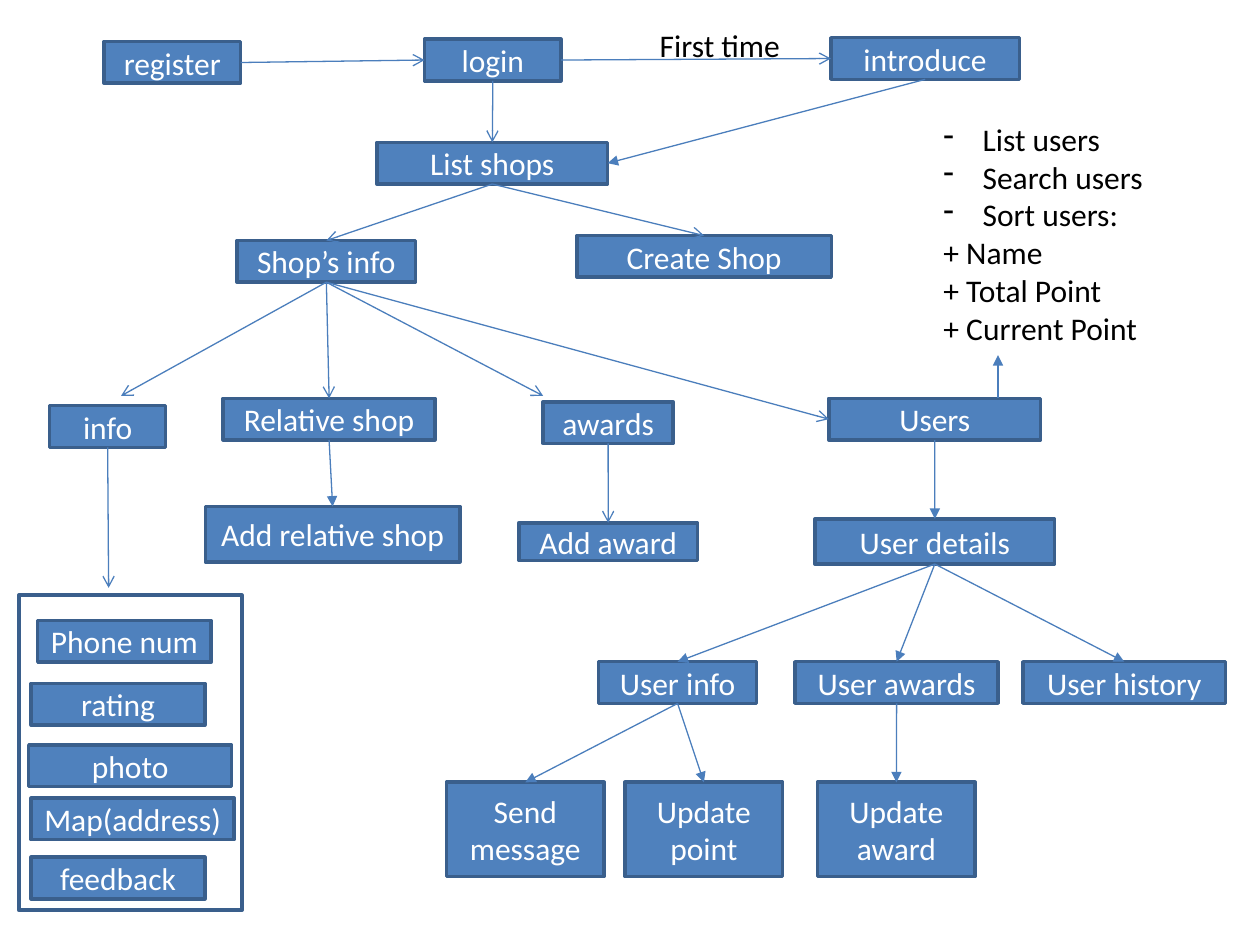
from dataclasses import dataclass

from lxml.etree import SubElement as Sub
from pptx import Presentation
from pptx.dml.color import RGBColor as RGB
from pptx.enum.shapes import MSO_CONNECTOR as Conn, MSO_SHAPE as Kind
from pptx.enum.text import MSO_ANCHOR as Anchor, MSO_AUTO_SIZE as Fit, PP_ALIGN as Align
from pptx.oxml.ns import qn
from pptx.util import Cm, Pt


@dataclass(frozen=True)
class Theme:
    """Colours, type and line sizes of the chart."""
    fill: RGB = RGB(0x4F, 0x81, 0xBD)
    edge: RGB = RGB(0x3A, 0x5F, 0x8C)
    link: RGB = RGB(0x4B, 0x7E, 0xBC)
    white: RGB = RGB(255, 255, 255)
    black: RGB = RGB(0, 0, 0)
    font: str = "Calibri"
    size: float = 18
    rule: float = 2
    thin: float = 0.75


LOOK = Theme()
ROW = 0.84
TOP, LEFT, BASE, RIGHT = range(4)


def write(para, text, color):
    """Add one styled run to a paragraph."""
    run = para.add_run()
    run.text = text
    font = run.font
    font.name, font.size = LOOK.font, Pt(LOOK.size)
    font.color.rgb = color


def frame(slide, x, y, w, h, fill):
    """Draw a bordered rectangle."""
    rect = slide.shapes.add_shape(Kind.RECTANGLE, Cm(x), Cm(y), Cm(w), Cm(h))
    rect.shadow.inherit = False
    rect.fill.solid()
    rect.fill.fore_color.rgb = fill
    rect.line.color.rgb = LOOK.edge
    rect.line.width = Pt(LOOK.rule)
    return rect


def nodes(slide, box, items):
    """Place labelled nodes relative to a box; return them by label."""
    made = {}
    for label, x, y, w, h in items:
        node = frame(slide, box[0] + x, box[1] + y, w, h, LOOK.fill)
        text = node.text_frame
        text.word_wrap = True
        text.vertical_anchor = Anchor.MIDDLE
        para = text.paragraphs[0]
        para.alignment = Align.CENTER
        write(para, label, LOOK.white)
        made[label] = node
    return made


def note(slide, x, y, w, h, lines):
    """Place free text; lines flagged True get a dash bullet."""
    text = slide.shapes.add_textbox(Cm(x), Cm(y), Cm(w), Cm(h)).text_frame
    text.word_wrap = False
    text.auto_size = Fit.SHAPE_TO_FIT_TEXT
    for i, (line, dash) in enumerate(lines):
        para = text.add_paragraph() if i else text.paragraphs[0]
        write(para, line, LOOK.black)
        if dash:
            props = para._p.get_or_add_pPr()
            props.set("marL", str(Cm(0.79)))
            props.set("indent", str(-Cm(0.79)))
            Sub(props, qn("a:buFontTx"))
            Sub(props, qn("a:buChar")).set("char", "-")


def link(slide, start, end, head="triangle"):
    """Draw an arrow between (node, site) pairs or (x, y) points."""
    line = slide.shapes.add_connector(Conn.STRAIGHT, 0, 0, 0, 0)
    if isinstance(start[0], float):
        line.begin_x, line.begin_y = map(Cm, start)
    else:
        line.begin_connect(*start)
    if isinstance(end[0], float):
        line.end_x, line.end_y = map(Cm, end)
    else:
        line.end_connect(*end)
    line.line.color.rgb = LOOK.link
    line.line.width = Pt(LOOK.thin)
    props = line._element.spPr
    Sub(props.find(qn("a:ln")), qn("a:tailEnd")).set("type", head)
    Sub(props, qn("a:effectLst"))


def entry(slide, box):
    """Draw sign-in steps and return the shop list node."""
    made = nodes(slide, box, [
        ("register", 0, 0.44, 2.75, ROW),
        ("login", 6.46, 0.39, 2.75, ROW),
        ("introduce", 14.65, 0.36, 3.8, ROW),
        ("List shops", 5.5, 2.47, 4.65, ROW)])
    reg, login, intro, shops = made.values()
    link(slide, (reg, RIGHT), (login, LEFT), "arrow")
    link(slide, (login, RIGHT), (intro, LEFT), "arrow")
    link(slide, (login, BASE), (shops, TOP), "arrow")
    link(slide, (intro, BASE), (shops, RIGHT))
    note(slide, box[0] + 10.95, box[1], 2.97, 1.02, [("First time", False)])
    return shops


def shop(slide, box, root):
    """Draw the shop branch and return its hub and info nodes."""
    x, y = box
    made = nodes(slide, box, [
        ("Create Shop", 10.63, 0, 5.13, ROW),
        ("Shop’s info", 3.78, 0.1, 3.6, ROW),
        ("info", 0, 3.43, 2.34, ROW),
        ("Relative shop", 3.5, 3.28, 4.27, ROW),
        ("awards", 9.95, 3.35, 2.62, ROW),
        ("Add relative shop", 3.14, 5.46, 5.13, 1.12),
        ("Add award", 9.46, 5.79, 3.6, 0.76)])
    new, hub, info, near, prize, more, add = made.values()
    for end in (hub, new):
        link(slide, (root, BASE), (end, TOP), "arrow")
    for end in ((x + 1.44, y + 3.23), (near, TOP), (x + 9.95, y + 3.23)):
        link(slide, (hub, BASE), end, "arrow")
    link(slide, (near, BASE), (more, TOP))
    link(slide, (prize, BASE), (add, TOP), "arrow")
    return hub, info


def users(slide, box, hub):
    """Draw the user branch with its list of features."""
    x, y = box
    made = nodes(slide, box, [
        ("Users", 7.71, 5.78, 4.27, ROW),
        ("User details", 7.43, 8.21, 4.83, 0.91),
        ("User info", 3.07, 11.09, 3.18, ROW),
        ("User awards", 7.03, 11.09, 4.09, ROW),
        ("User history", 11.62, 11.09, 4.09, ROW),
        ("Send message", 0, 13.52, 3.18, 1.9),
        ("Update point", 3.6, 13.52, 3.18, 1.9),
        ("Update award", 7.48, 13.52, 3.18, 1.9)])
    top, more, info, prize, past, send, point, award = made.values()
    link(slide, (hub, BASE), (top, LEFT), "arrow")
    for start, ends in ((top, [more]), (more, [info, prize, past]),
                        (info, [send, point]), (prize, [award])):
        for end in ends:
            link(slide, (start, BASE), (end, TOP))
    link(slide, (x + 11.12, y + 5.78), (x + 11.12, y + 4.91))
    note(slide, x + 9.77, y + 0.04, 4.57, 4.88, [
        ("List users", True), ("Search users", True), ("Sort users:", True),
        ("+ Name", False), ("+ Total Point", False), ("+ Current Point", False)])


def panel(slide, box, info):
    """Draw the framed shop fields below the info node."""
    x, y = box
    frame(slide, x, y, 4.5, 6.35, LOOK.white)
    nodes(slide, box, [
        ("Phone num", 0.38, 0.51, 3.5, ROW),
        ("rating", 0.25, 1.78, 3.5, ROW),
        ("photo", 0.2, 3.02, 4.09, ROW),
        ("Map(address)", 0.25, 4.09, 4.09, ROW),
        ("feedback", 0.25, 5.28, 3.5, ROW)])
    link(slide, (info, BASE), (x + 1.81, y - 0.15), "arrow")


def main():
    """Build the flow chart slide."""
    deck = Presentation()
    deck.slide_width, deck.slide_height = Cm(25.4), Cm(19.05)
    slide = deck.slides.add_slide(deck.slide_layouts[6])
    root = entry(slide, (2.1, 0.4))
    hub, info = shop(slide, (1, 4.75), root)
    users(slide, (9, 2.25), hub)
    panel(slide, (0.38, 12), info)
    deck.save("out.pptx")


main()
